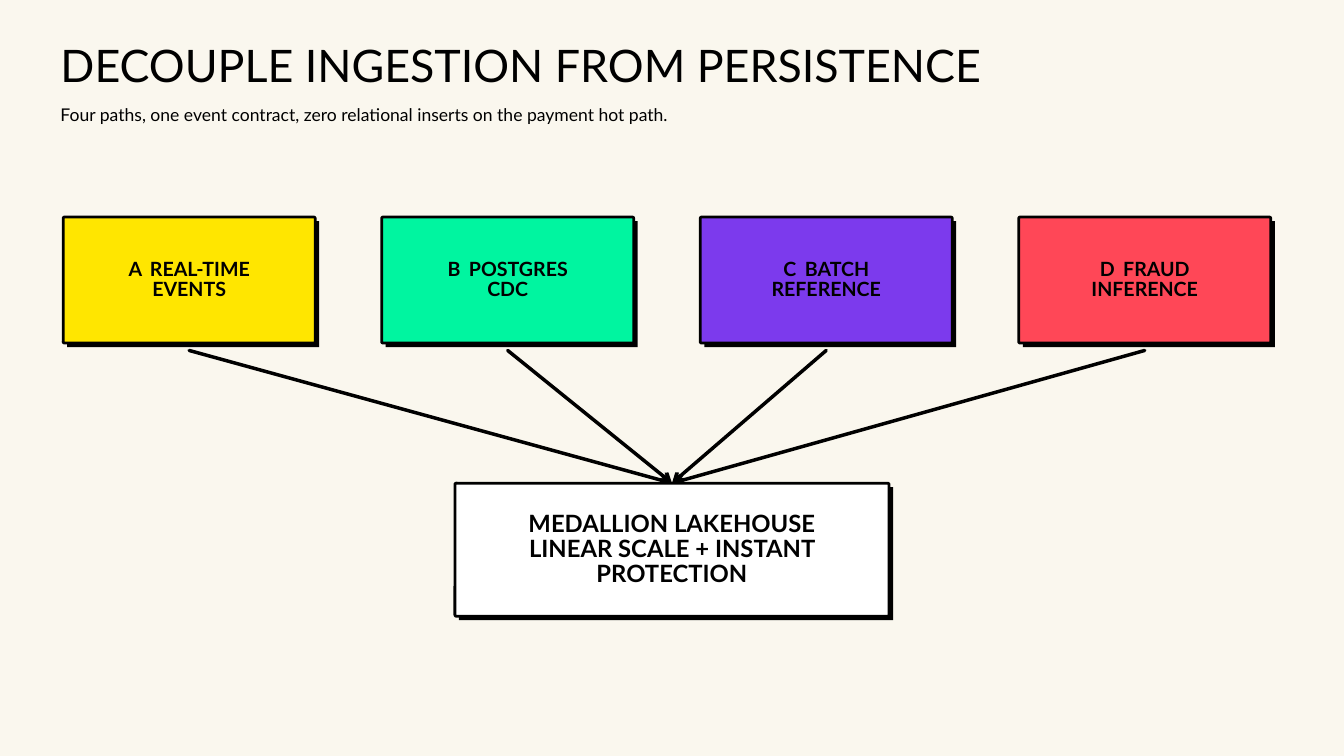
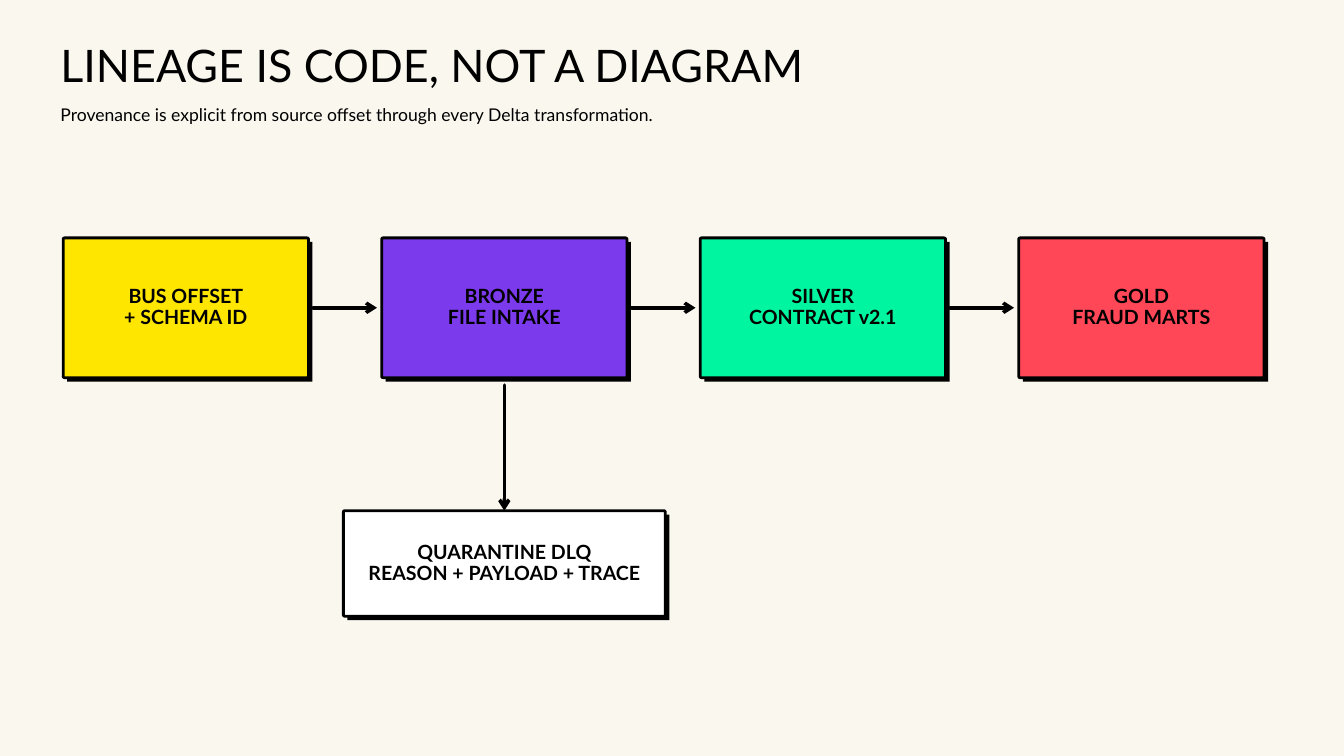
from lxml.etree import SubElement
from pptx import Presentation
from pptx.dml.color import RGBColor
from pptx.enum.shapes import MSO_CONNECTOR as Connector, MSO_SHAPE as Shape
from pptx.enum.text import MSO_ANCHOR as Anchor, MSO_AUTO_SIZE as AutoSize, PP_ALIGN as Align
from pptx.oxml.ns import qn
from pptx.util import Inches, Pt

# Content: each line of a box is its text, or a letter tag and its text
INGESTION = {
    "title": "DECOUPLE INGESTION FROM PERSISTENCE",
    "subtitle": "Four paths, one event contract, zero relational inserts on the payment hot path.",
    "boxes": [
        ("yellow", [("A", "REAL-TIME"), "EVENTS"]),
        ("green", [("B", "POSTGRES"), "CDC"]),
        ("purple", [("C", "BATCH"), "REFERENCE"]),
        ("red", [("D", "FRAUD"), "INFERENCE"]),
    ],
    "target": ["MEDALLION LAKEHOUSE", "LINEAR SCALE + INSTANT PROTECTION"],
}
LINEAGE = {
    "title": "LINEAGE IS CODE, NOT A DIAGRAM",
    "subtitle": "Provenance is explicit from source offset through every Delta transformation.",
    "boxes": [
        ("yellow", ["BUS OFFSET", "+ SCHEMA ID"]),
        ("purple", ["BRONZE", "FILE INTAKE"]),
        ("green", ["SILVER", "CONTRACT v2.1"]),
        ("red", ["GOLD", "FRAUD MARTS"]),
    ],
    "target": ["QUARANTINE DLQ", "REASON + PAYLOAD + TRACE"],
}

# Shared style, lengths in inches
COLORS = {"paper": "FAF7EE", "ink": "000000", "white": "FFFFFF", "yellow": "FFE600",
          "green": "00F5A0", "purple": "7C3AED", "red": "FF4757"}
FONT = "Lato"
WIDTH, HEIGHT = 20, 11.25
LEFT, PITCH = 0.94, 4.74      # first column and distance between columns
SHADOW = 0.06                 # offset of the hard shadow
RADIUS = 0.02
DROP = 0.11                   # gap between a box and an arrow below it
SIDE_GAP = 0.07               # gap between a box and an arrow beside it
TARGET_BOTTOM = 9.17


def color(name):
    return RGBColor.from_string(COLORS[name])


def style_para(para, size, leading, bold=False):
    para.line_spacing = Pt(leading)
    for span in para.runs:
        span.font.name, span.font.size, span.font.bold = FONT, Pt(size), bold
        span.font.color.rgb = color("ink")


def set_margins(frame, margin):
    frame.margin_left = frame.margin_right = Inches(margin)
    frame.margin_top = frame.margin_bottom = Inches(margin)
    frame.word_wrap = True


def add_heading(page, text, top, width, height, size, leading):
    box = page.shapes.add_textbox(Inches(0.9), Inches(top), Inches(width), Inches(height))
    frame = box.text_frame
    set_margins(frame, 0)
    frame.auto_size = AutoSize.SHAPE_TO_FIT_TEXT
    frame.text = text
    style_para(frame.paragraphs[0], size, leading)


def add_page(deck, content):
    page = deck.slides.add_slide(deck.slide_layouts[6])
    page.background.fill.solid()
    page.background.fill.fore_color.rgb = color("paper")
    add_heading(page, content["title"], 0.71, 18.21, 0.69, 48, 47)
    add_heading(page, content["subtitle"], 1.53, 15.1, 0.36, 18.8, 23.4)
    return page


def add_panel(page, kind, left, top, width, height, fill):
    panel = page.shapes.add_shape(kind, Inches(left), Inches(top), Inches(width), Inches(height))
    panel.shadow.inherit = False
    panel.fill.solid()
    panel.fill.fore_color.rgb = color(fill)
    panel.line.fill.background()
    return panel


def add_card(page, left, top, width, height, fill, lines, size=21, leading=22.1):
    add_panel(page, Shape.RECTANGLE, left + SHADOW, top + SHADOW, width, height, "ink")
    card = add_panel(page, Shape.ROUNDED_RECTANGLE, left, top, width, height, fill)
    card.adjustments[0] = RADIUS / min(width, height)
    card.line.color.rgb = color("ink")
    card.line.width = Pt(3)
    frame = card.text_frame
    set_margins(frame, 0.06)
    frame.vertical_anchor = Anchor.MIDDLE
    for index, line in enumerate(lines):
        para = frame.add_paragraph() if index else frame.paragraphs[0]
        para.alignment = Align.CENTER
        if isinstance(line, tuple):
            tag, line = line
            span = para.add_run()
            span.text = tag + " "
            span.font._element.set("spc", "200")  # widens the gap after the letter
        para.add_run().text = line
        style_para(para, size, leading, bold=True)


def add_arrow(page, x1, y1, x2, y2):
    arrow = page.shapes.add_connector(Connector.STRAIGHT, Inches(x1), Inches(y1),
                                      Inches(x2), Inches(y2))
    arrow.line.color.rgb = color("ink")
    arrow.line.width = Pt(3.75)
    outline = arrow.line._get_or_add_ln()
    outline.set("cap", "rnd")
    SubElement(outline, qn("a:round"))
    SubElement(outline, qn("a:tailEnd"), type="arrow")
    SubElement(arrow._element.spPr, qn("a:effectLst"))


def add_row(page, boxes, top, width, height):
    """Draw the four cards and return their left edges."""
    lefts = [LEFT + column * PITCH for column in range(len(boxes))]
    for left, (fill, lines) in zip(lefts, boxes):
        add_card(page, left, top, width, height, fill, lines)
    return lefts


def add_target(page, center, width, height, lines, **text_style):
    add_card(page, center - width / 2, TARGET_BOTTOM - height, width, height,
             "white", lines, **text_style)


def build_ingestion(deck):
    page = add_page(deck, INGESTION)
    top, width, height, target_height = 3.23, 3.75, 1.875, 1.98
    # Four paths meet at the top of the lakehouse
    for left in add_row(page, INGESTION["boxes"], top, width, height):
        add_arrow(page, left + width / 2, top + height + DROP,
                  WIDTH / 2, TARGET_BOTTOM - target_height)
    add_target(page, WIDTH / 2, 6.46, target_height, INGESTION["target"],
               size=25.5, leading=26.8)


def build_lineage(deck):
    page = add_page(deck, LINEAGE)
    top, width, height, target_height = 3.54, 3.65, 2.08, 1.57
    lefts = add_row(page, LINEAGE["boxes"], top, width, height)
    # Stage to stage
    middle = top + height / 2
    for left, following in zip(lefts, lefts[1:]):
        add_arrow(page, left + width + SIDE_GAP, middle, following - SIDE_GAP, middle)
    # Bronze down to quarantine
    center = lefts[1] + width / 2
    add_arrow(page, center, top + height + DROP, center, TARGET_BOTTOM - target_height)
    add_target(page, center, 4.79, target_height, LINEAGE["target"])


def main():
    deck = Presentation()
    deck.slide_width, deck.slide_height = Inches(WIDTH), Inches(HEIGHT)
    build_ingestion(deck)
    build_lineage(deck)
    deck.save("out.pptx")


if __name__ == "__main__":
    main()
